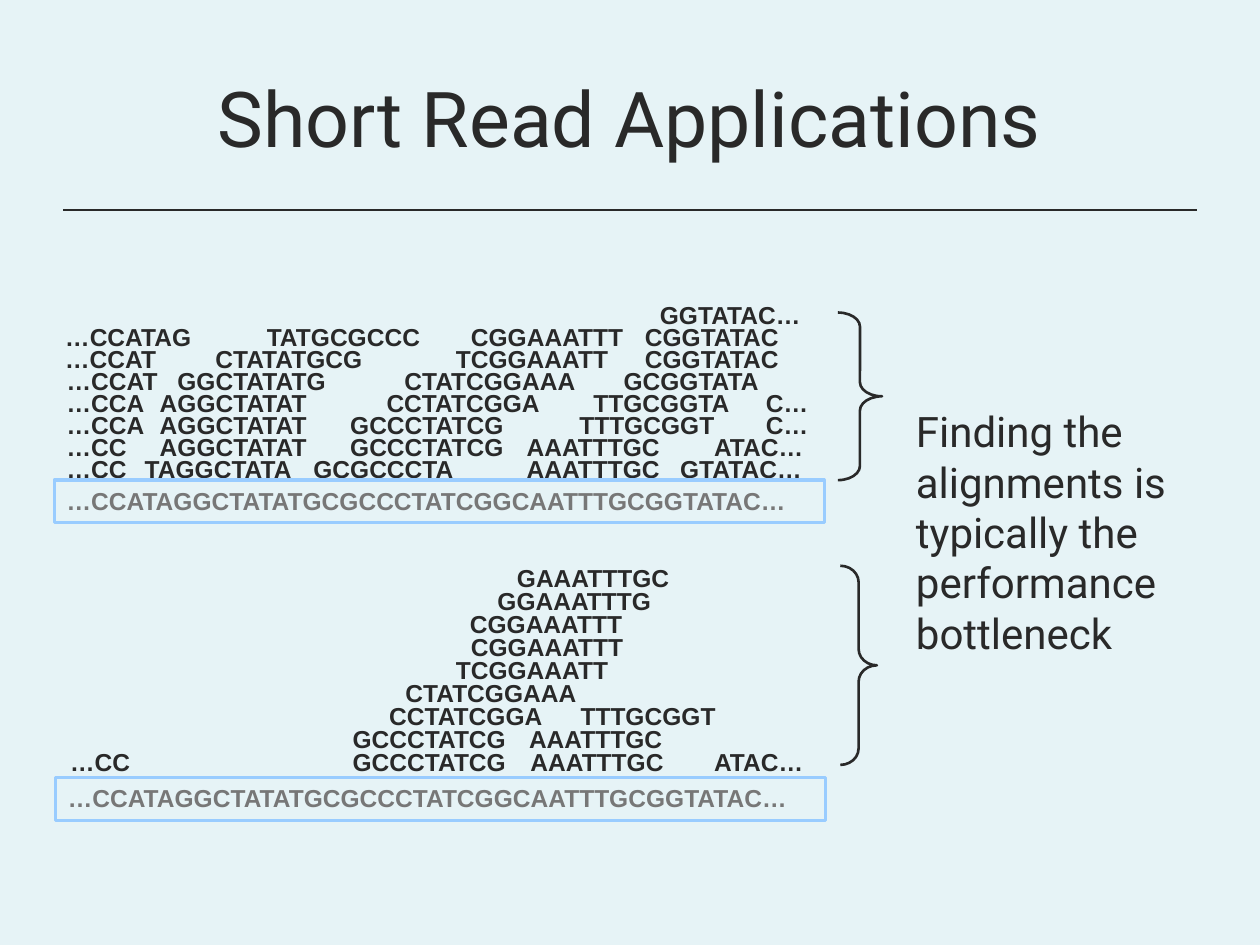
from lxml import etree
from pptx import Presentation
from pptx.dml.color import RGBColor
from pptx.enum.shapes import MSO_CONNECTOR, MSO_SHAPE
from pptx.enum.text import MSO_ANCHOR, MSO_AUTO_SIZE, PP_ALIGN
from pptx.oxml.ns import qn
from pptx.util import Pt

LINE = MSO_CONNECTOR.STRAIGHT
RECT, BRACE = MSO_SHAPE.RECTANGLE, MSO_SHAPE.RIGHT_BRACE
TOP, MIDDLE = MSO_ANCHOR.TOP, MSO_ANCHOR.MIDDLE
LEFT, CENTER = PP_ALIGN.LEFT, PP_ALIGN.CENTER
FIXED = MSO_AUTO_SIZE.NONE

TITLE = "Short Read Applications"
NOTE = "Finding the alignments is typically the performance bottleneck"
GENOME = "…CCATAGGCTATATGCGCCCTATCGGCAATTTGCGGTATAC…"

STACKS = [
    {
        "top": 168, "pitch": 12.53,
        "genome": (31, 274.3),
        "brace": (478.8, 178.6, 25.2, 95.8), "curve": 0.32,
        "rows": [
            [(370, "GGTATAC…")],
            [(30.2, "…CCATAG"), (145.4, "TATGCGCCC"), (262, "CGGAAATTT"), (361.4, "CGGTATAC")],
            [(30.2, "…CCAT"), (116, "CTATATGCG"), (253.4, "TCGGAAATT"), (361.4, "CGGTATAC")],
            [(31, "…CCAT"), (94.3, "GGCTATATG"), (224, "CTATCGGAAA"), (349.2, "GCGGTATA")],
            [(31, "…CCA"), (84.2, "AGGCTATAT"), (213.8, "CCTATCGGA"), (332, "TTGCGGTA"), (430.6, "C…")],
            [(31, "…CCA"), (84.2, "AGGCTATAT"), (193, "GCCCTATCG"), (324, "TTTGCGGT"), (430.6, "C…")],
            [(31, "…CC"), (84.2, "AGGCTATAT"), (193, "GCCCTATCG"), (293.8, "AAATTTGC"), (401, "ATAC…")],
            [(31, "…CC"), (75.6, "TAGGCTATA"), (172, "GCGCCCTA"), (293.8, "AAATTTGC"), (381.6, "GTATAC…")],
        ],
    },
    {
        "top": 318.2, "pitch": 13.16,
        "genome": (31.7, 444.2),
        "brace": (480.2, 323.3, 20.9, 113.8), "curve": 0.45,
        "rows": [
            [(288.3, "GAAATTTGC")],
            [(277.2, "GGAAATTTG")],
            [(261.4, "CGGAAATTT")],
            [(262, "CGGAAATTT")],
            [(253.4, "TCGGAAATT")],
            [(224.6, "CTATCGGAAA")],
            [(215.3, "CCTATCGGA"), (324.7, "TTTGCGGT")],
            [(194.4, "GCCCTATCG"), (295.2, "AAATTTGC")],
            [(33, "…CC"), (194.4, "GCCCTATCG"), (296, "AAATTTGC"), (401, "ATAC…")],
        ],
    },
]

COLORS = {"back": "E6F3F6", "ink": "292929", "gray": "777777", "blue": "99CCFF"}
HEAD = {"name": "Roboto", "size": Pt(44), "bold": False}
BODY = {"name": "Roboto", "size": Pt(24), "bold": False}
READ = {"name": "Arial", "size": Pt(14), "bold": True}
WIDTHS = {"A": 0.72, "C": 0.72, "G": 0.78, "T": 0.61, "…": 1}
SIZE, INSET, HIGH, WIDE = 14, 7.2, 24.5, 440


def hue(name):
    return RGBColor.from_string(COLORS[name])


def place(shape, *box):
    for name, value in zip(("left", "top", "width", "height"), box):
        setattr(shape, name, Pt(value))


def write(shape, text, form, color="ink", align=LEFT, anchor=TOP, wrap=True):
    frame = shape.text_frame
    frame.text = text
    look = {"word_wrap": wrap, "auto_size": FIXED, "vertical_anchor": anchor}
    for name, value in look.items():
        setattr(frame, name, value)
    para = frame.paragraphs[0]
    para.alignment = align
    font = para.runs[0].font
    for name, value in form.items():
        setattr(font, name, value)
    font.color.rgb = hue(color)
    return para


def outline(shape, color, width):
    shape.line.color.rgb = hue(color)
    shape.line.width = Pt(width)


def preset(kind, box, color, width):
    shape = slide.shapes.add_shape(kind, *map(Pt, box))
    shape.shadow.inherit = False
    shape.fill.background()
    outline(shape, color, width)
    return shape


def stack(data):
    for row, reads in enumerate(data["rows"]):
        top = data["top"] + row * data["pitch"]
        for left, text in reads:
            width = SIZE * sum(WIDTHS[base] for base in text) + 2 * INSET
            box = slide.shapes.add_textbox(*map(Pt, (left, top, width, HIGH)))
            write(box, text, READ, wrap=False)
    bar = preset(RECT, (*data["genome"], WIDE, HIGH), "blue", 1.75)
    write(bar, GENOME, READ, "gray")
    brace = preset(BRACE, data["brace"], "ink", 1.5)
    brace.adjustments[0] = data["curve"]


deck = Presentation()
deck.slide_width, deck.slide_height = Pt(720), Pt(540)
slide = deck.slides.add_slide(deck.slide_layouts[1])
slide.background.fill.solid()
slide.background.fill.fore_color.rgb = hue("back")

rule = slide.shapes.add_connector(LINE, Pt(36), Pt(120), Pt(684), Pt(120))
outline(rule, "ink", 0.75)
etree.SubElement(rule._element.spPr, qn("a:effectLst"))

title, body = slide.shapes.title, slide.placeholders[1]
place(title, 36, 21.6, 648, 90)
write(title, TITLE, HEAD, align=CENTER, anchor=MIDDLE)
place(body, 516.2, 228.2, 198, 260.6)
para = write(body, NOTE, BODY)
para.space_before = Pt(0)
props = para._p.get_or_add_pPr()
for name in ("marL", "indent"):
    props.set(name, "0")
etree.SubElement(props, qn("a:buNone"))

for data in STACKS:
    stack(data)

deck.save("out.pptx")
